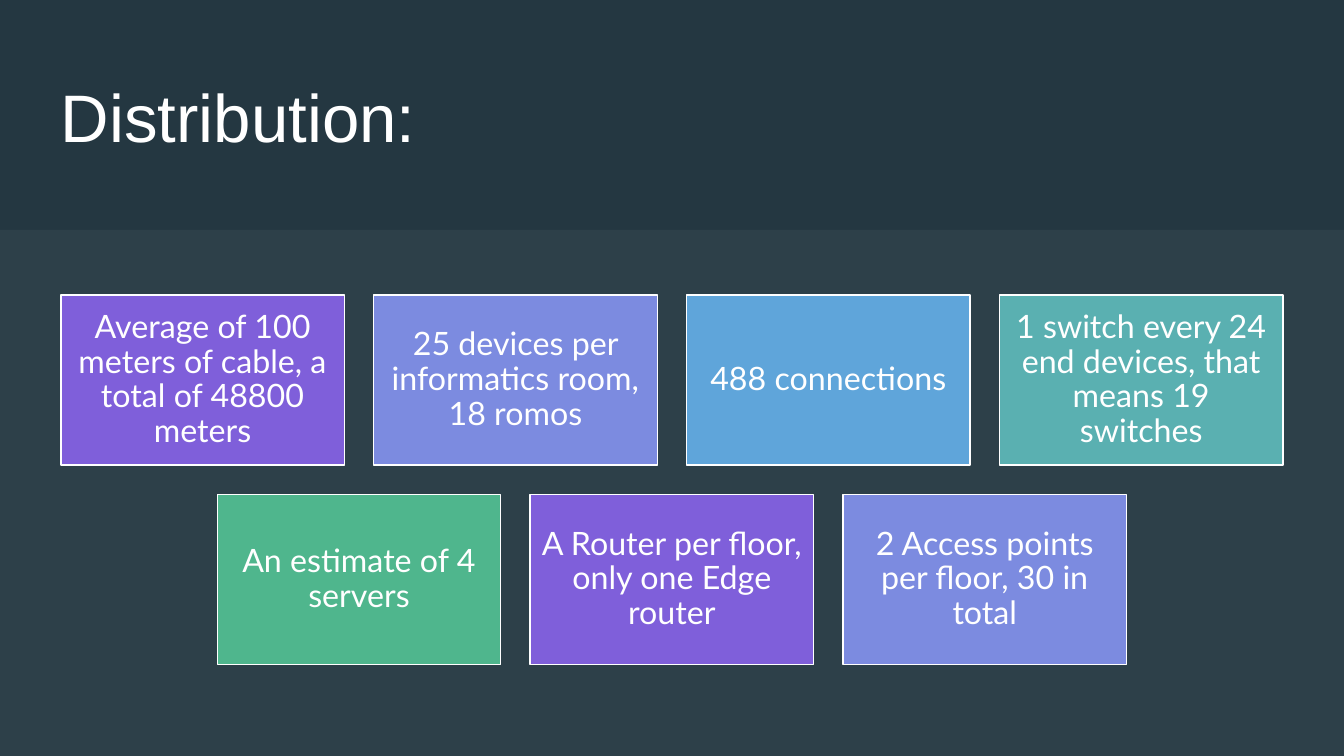
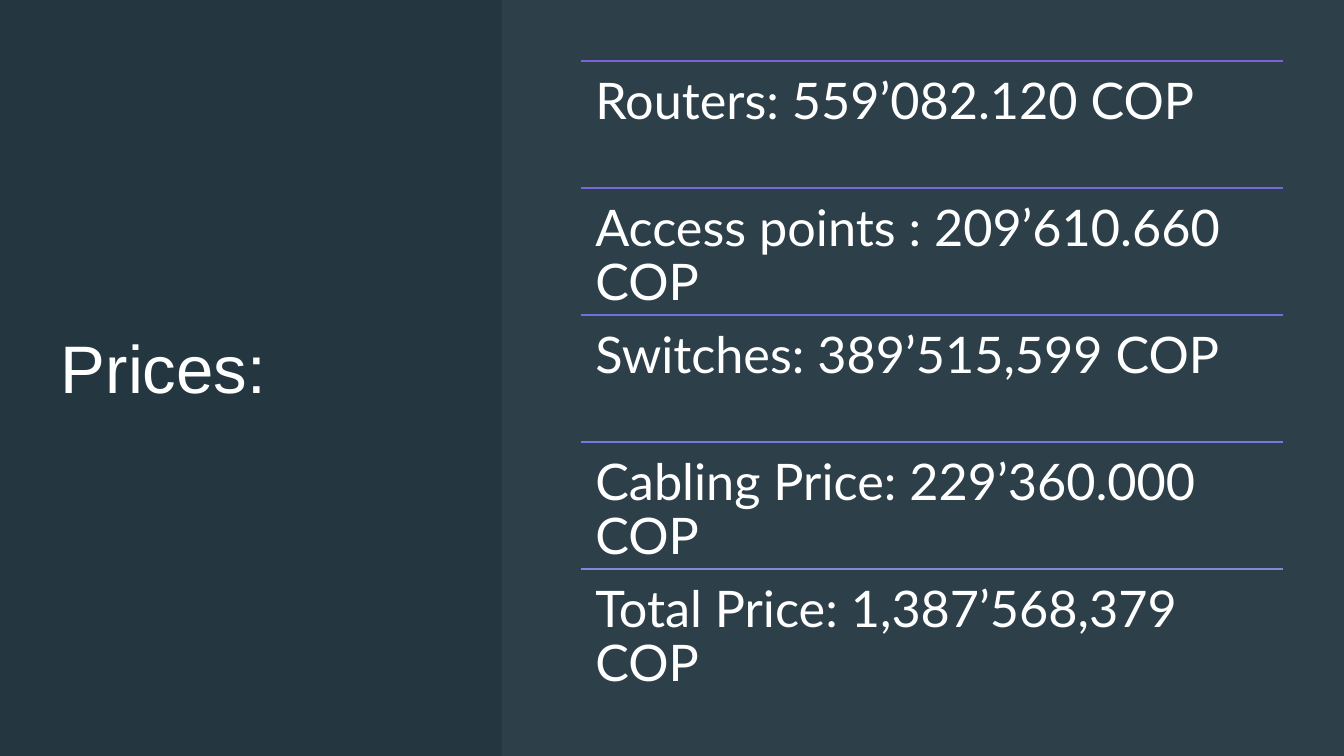
from lxml.etree import SubElement
from pptx import Presentation
from pptx.dml.color import RGBColor
from pptx.enum.shapes import MSO_CONNECTOR, MSO_SHAPE
from pptx.enum.text import MSO_ANCHOR, PP_ALIGN
from pptx.oxml.ns import qn
from pptx.util import Emu, Pt

PX = 9525  # EMU in one px
WIDTH, HEIGHT = 1280, 720
MARGIN = 58

COLORS = {
    "background": "243741",
    "panel": "E5ECF0",
    "text": "FFFFFF",
    "violet": "7F5FDA",
    "iris": "7966DB",
    "indigo": "746EDD",
    "blue violet": "757ADE",
    "periwinkle": "7C8BE0",
    "blue": "5FA5DA",
    "teal": "5AB0B1",
    "green": "4FB68D",
}
CARD_COLORS = ["violet", "periwinkle", "blue", "teal", "green"]
RULE_COLORS = ["violet", "iris", "indigo", "blue violet", "periwinkle"]

CARD_ROWS = [
    [
        "Average of 100 meters of cable, a total of 48800 meters",
        "25 devices per informatics room, 18 romos",
        "488 connections",
        "1 switch every 24 end devices, that means 19 switches",
    ],
    [
        "An estimate of 4 servers",
        "A Router per floor, only one Edge router",
        "2 Access points per floor, 30 in total",
    ],
]
PRICES = [
    "Routers: 559’082.120 COP",
    "Access points : 209’610.660 COP",
    "Switches: 389’515,599 COP",
    "Cabling Price: 229’360.000 COP",
    "Total Price: 1,387’568,379 COP",
]


def px(*lengths):
    return [Emu(length * PX) for length in lengths]


def color(name):
    return RGBColor.from_string(COLORS[name])


def write(box, text, size, font="Lato", inset=0, anchor=MSO_ANCHOR.MIDDLE,
          align=PP_ALIGN.LEFT, spacing=0.9):
    frame = box.text_frame
    frame.text = text
    frame.word_wrap = True
    frame.vertical_anchor = anchor
    frame.margin_left = frame.margin_right = Emu(inset * PX)
    frame.margin_top = frame.margin_bottom = Emu(inset * PX)
    para = frame.paragraphs[0]
    para.alignment = align
    para.line_spacing = spacing
    span = para.runs[0]
    span.font.name = font
    span.font.size = Pt(size)
    span.font.color.rgb = color("text")


def add_rect(page, left, top, width, height, fill):
    rect = page.shapes.add_shape(MSO_SHAPE.RECTANGLE, *px(left, top, width, height))
    rect.shadow.inherit = False
    rect.fill.solid()
    rect.fill.fore_color.rgb = color(fill)
    rect.line.fill.background()
    return rect


def add_panel(page, left, top):
    """Pale 5 % veil from the given corner to the bottom right of the page."""
    panel = add_rect(page, left, top, WIDTH - left, HEIGHT - top, "panel")
    tint = panel.fill._xPr.find(qn("a:solidFill"))[0]
    SubElement(tint, qn("a:alpha")).set("val", "5000")


def add_page(deck, title, title_width, title_height, panel_left, panel_top):
    page = deck.slides.add_slide(deck.slide_layouts[6])
    page.background.fill.solid()
    page.background.fill.fore_color.rgb = color("background")
    add_panel(page, panel_left, panel_top)
    box = page.shapes.add_textbox(*px(MARGIN, MARGIN, title_width, title_height))
    write(box, title, 48, font="Arial", spacing=1.0)
    return page


def add_card(page, left, top, width, height, text, fill):
    card = add_rect(page, left, top, width, height, fill)
    card.line.color.rgb = color("text")
    card.line.width = Pt(1)
    write(card, text, 23, inset=9, align=PP_ALIGN.CENTER)


def add_rule(page, left, top, width, stroke):
    rule = page.shapes.add_connector(
        MSO_CONNECTOR.STRAIGHT, *px(left, top, left + width, top))
    rule.line.color.rgb = color(stroke)
    rule.line.width = Pt(1)
    SubElement(rule._element.spPr, qn("a:effectLst"))


def add_distribution(deck):
    page = add_page(deck, "Distribution:", 767, 104, 0, 219)
    width, height, gap, top = 270, 162, 28, 281
    count = 0
    for row, texts in enumerate(CARD_ROWS):
        # Each row is centred on the page
        row_width = len(texts) * (width + gap) - gap
        row_left = (WIDTH - row_width) // 2
        for column, text in enumerate(texts):
            add_card(page, row_left + column * (width + gap),
                     top + row * (height + gap), width, height, text,
                     CARD_COLORS[count % len(CARD_COLORS)])
            count += 1


def add_prices(deck):
    page = add_page(deck, "Prices:", 374, 582, 478, 0)
    left, width, height = 553, 669, 121
    for row, (text, stroke) in enumerate(zip(PRICES, RULE_COLORS)):
        top = MARGIN + row * height
        add_rule(page, left, top, width, stroke)
        box = page.shapes.add_textbox(*px(left, top, width, height))
        write(box, text, 36, inset=14, anchor=MSO_ANCHOR.TOP)


def main():
    deck = Presentation()
    deck.slide_width, deck.slide_height = px(WIDTH, HEIGHT)
    add_distribution(deck)
    add_prices(deck)
    deck.save("out.pptx")


if __name__ == "__main__":
    main()
